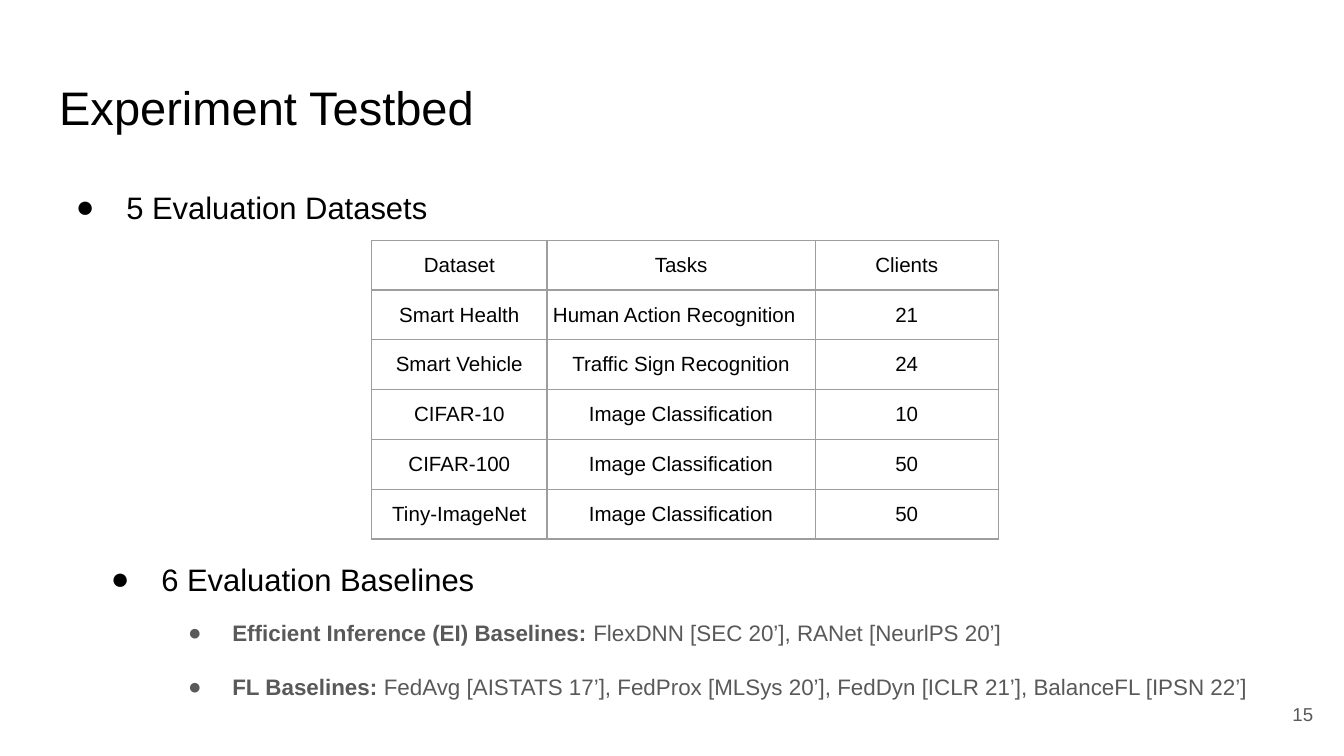
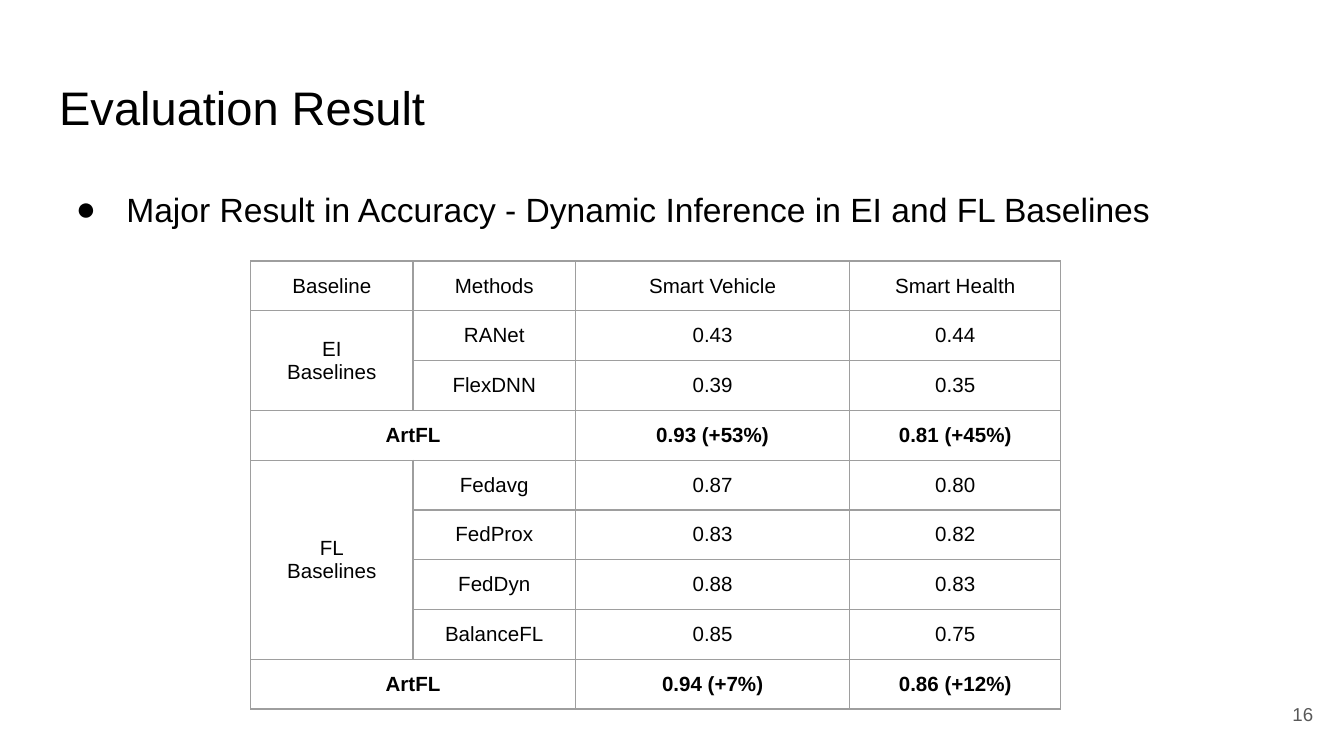
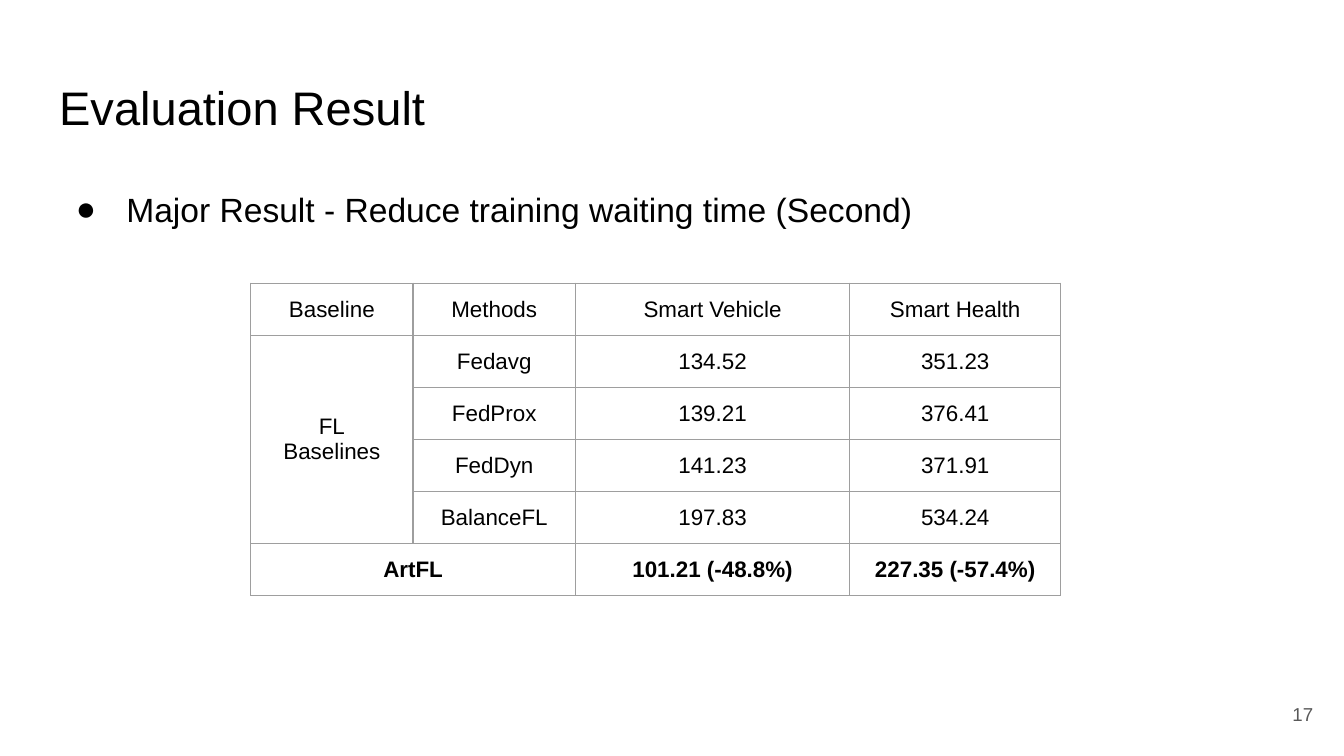
from copy import deepcopy

from lxml.etree import SubElement
from pptx import Presentation
from pptx.dml.color import RGBColor
from pptx.enum.text import MSO_ANCHOR, MSO_AUTO_SIZE, PP_ALIGN
from pptx.oxml import parse_xml
from pptx.oxml.ns import nsdecls, qn
from pptx.util import Pt

FONT, BLACK, GREY, RULE = "Arial", "000000", "595959", "9E9E9E"
INSET = 7.2
TITLE_BOX = (24.5, 35, 671, 45.4)
NUMBER_BOX = (667.4, 367.2, 43.2, 31)
RESULT_COLS = (87, 87, 147, 113)
RESULT_HEAD = ("Baseline", "Methods", "Smart Vehicle", "Smart Health")

SLIDES = [
    {
        "number": 15, "title": "Experiment Testbed", "layout": 3,
        "bullets": [("5 Evaluation Datasets", 16.6, (24.5, 90.7, 245.5, 35.3)),
                    ("6 Evaluation Baselines", 16.6, (43.2, 290.2, 223.2, 35.3))],
        "table": {
            "at": (199.2, 128.7), "size": 11, "row": 26.6, "cols": (93.8, 143.8, 98),
            "rows": [("Dataset", "Tasks", "Clients"),
                     ("Smart Health", "Human Action Recognition", "21"),
                     ("Smart Vehicle", "Traffic Sign Recognition", "24"),
                     ("CIFAR-10", "Image Classification", "10"),
                     ("CIFAR-100", "Image Classification", "50"),
                     ("Tiny-ImageNet", "Image Classification", "50")],
            "merges": [], "flush": (1, 1),
        },
        "details": [
            ("Efficient Inference (EI) Baselines:", " FlexDNN [SEC 20’], RANet [NeurlPS 20’]"),
            ("FL Baselines:", " FedAvg [AISTATS 17’], FedProx [MLSys 20’], "
                              "FedDyn [ICLR 21’], BalanceFL [IPSN 22’]"),
        ],
    },
    {
        "number": 16, "title": "Evaluation Result", "layout": 1,
        "bullets": [("Major Result in Accuracy - Dynamic Inference in EI and FL Baselines",
                     18, (24.5, 90.7, 609, 45.4))],
        "table": {
            "at": (134.3, 139.8), "size": 11, "row": 26.6, "cols": RESULT_COLS,
            "rows": [RESULT_HEAD,
                     ("EI\nBaselines", "RANet", "0.43", "0.44"),
                     ("", "FlexDNN", "0.39", "0.35"),
                     ("ArtFL", "", "0.93 (+53%)", "0.81 (+45%)"),
                     ("FL\nBaselines", "Fedavg", "0.87", "0.80"),
                     ("", "FedProx", "0.83", "0.82"),
                     ("", "FedDyn", "0.88", "0.83"),
                     ("", "BalanceFL", "0.85", "0.75"),
                     ("ArtFL", "", "0.94 (+7%)", "0.86 (+12%)")],
            "merges": [(1, 0, 2, 0), (3, 0, 3, 1), (4, 0, 7, 0), (8, 0, 8, 1)],
        },
    },
    {
        "number": 17, "title": "Evaluation Result", "layout": 1,
        "bullets": [("Major Result - Reduce training waiting time (Second)",
                     18, (24.5, 90.7, 533.5, 45.4))],
        "table": {
            "at": (134.3, 151.7), "size": 12, "row": 27.85, "cols": RESULT_COLS,
            "rows": [RESULT_HEAD,
                     ("FL\nBaselines", "Fedavg", "134.52", "351.23"),
                     ("", "FedProx", "139.21", "376.41"),
                     ("", "FedDyn", "141.23", "371.91"),
                     ("", "BalanceFL", "197.83", "534.24"),
                     ("ArtFL", "", "101.21 (-48.8%)", "227.35 (-57.4%)")],
            "merges": [(1, 0, 4, 0), (5, 0, 5, 1)],
        },
    },
]


def rgb(color):
    """Turn a hex string into a colour."""
    return RGBColor.from_string(color)


def assign(obj, values):
    """Set attributes from a dict."""
    for name, value in values.items():
        setattr(obj, name, value)


def style(r, size, color=BLACK, bold=False):
    """Format one run."""
    assign(r.font, {"name": FONT, "size": Pt(size), "bold": bold})
    r.font.color.rgb = rgb(color)


def frame(sp, box, anchor=MSO_ANCHOR.TOP):
    """Place a shape and prepare its text frame."""
    assign(sp, dict(zip(("left", "top", "width", "height"), map(Pt, box))))
    tf = sp.text_frame
    assign(tf, {"word_wrap": True, "auto_size": MSO_AUTO_SIZE.NONE, "vertical_anchor": anchor})
    assign(tf, {f"margin_{side}": Pt(INSET) for side in ("left", "right", "top", "bottom")})
    return tf


def write(p, text, size, color=BLACK, bold=False, align=PP_ALIGN.LEFT):
    """Fill a paragraph, with line breaks in the same format."""
    p.text = text
    p.alignment = align
    for r in p.runs:
        style(r, size, color, bold)
    for br in p._p.findall(qn("a:br")):
        br.append(deepcopy(p.runs[0]._r.rPr))


def bullet(p, hang, color):
    """Give a paragraph a hanging round bullet."""
    pPr = p._p.get_or_add_pPr()
    pPr.set("marL", str(Pt(36)))
    pPr.set("indent", str(-Pt(hang)))
    clr = SubElement(pPr, qn("a:buClr"))
    SubElement(clr, qn("a:srgbClr"), val=color)
    SubElement(pPr, qn("a:buFont"), typeface=FONT)
    SubElement(pPr, qn("a:buChar"), char="●")


def add_bullet_line(sp, text, size, box):
    """Write a one-line list in a body placeholder."""
    p = frame(sp, box).paragraphs[0]
    bullet(p, 27, BLACK)
    write(p, text, size)
    assign(p, {"line_spacing": 1.15, "space_before": Pt(0)})


def add_details(s, items):
    """Add the list of baselines with bold lead-ins."""
    tf = frame(s.shapes.add_textbox(0, 0, 0, 0), (81.4, 324.7, 614.2, 56.2))
    for i, parts in enumerate(items):
        p = tf.add_paragraph() if i else tf.paragraphs[0]
        bullet(p, 23.75, GREY)
        if i:
            p.space_before = Pt(14.5)
        for text, bold in zip(parts, (True, False)):
            r = p.add_run()
            r.text = text
            style(r, 12, GREY, bold)


def outline(cell):
    """Draw the four borders of a cell."""
    tcPr = cell._tc.get_or_add_tcPr()
    for i, side in enumerate("LRTB"):
        tcPr.insert(i, parse_xml(
            f'<a:ln{side} {nsdecls("a")} w="{Pt(0.75)}"><a:solidFill>'
            f'<a:srgbClr val="{RULE}"/></a:solidFill></a:ln{side}>'))


def add_grid(s, at, size, row, cols, rows, merges, flush=None):
    """Add a bordered table; rows for ArtFL are bold."""
    shape = s.shapes.add_table(len(rows), len(cols), Pt(at[0]), Pt(at[1]),
                               Pt(sum(cols)), Pt(row * len(rows)))
    table = shape.table
    assign(table, {"first_row": False, "horz_banding": False})
    for col, width in zip(table.columns, cols):
        col.width = Pt(width)
    for i, texts in enumerate(rows):
        table.rows[i].height = Pt(row)
        for j, text in enumerate(texts):
            cell = table.cell(i, j)
            assign(cell, {"vertical_anchor": MSO_ANCHOR.MIDDLE,
                          "margin_left": Pt(0 if (i, j) == flush else INSET),
                          "margin_right": Pt(INSET),
                          "margin_top": Pt(INSET), "margin_bottom": Pt(INSET)})
            cell.fill.background()
            outline(cell)
            write(cell.text_frame.paragraphs[0], text, size,
                  bold=texts[0] == "ArtFL", align=PP_ALIGN.CENTER)
    for top, left, bottom, right in merges:
        table.cell(top, left).merge(table.cell(bottom, right))


def add_slide(prs, data):
    """Build one slide from its content."""
    s = prs.slides.add_slide(prs.slide_layouts[data["layout"]])
    title, *bodies = s.placeholders
    write(frame(title, TITLE_BOX).paragraphs[0], data["title"], 25.2)
    for sp, line in zip(bodies, data["bullets"]):
        add_bullet_line(sp, *line)
    add_grid(s, **data["table"])
    if "details" in data:
        add_details(s, data["details"])
    tf = frame(s.shapes.add_textbox(0, 0, 0, 0), NUMBER_BOX, MSO_ANCHOR.MIDDLE)
    write(tf.paragraphs[0], str(data["number"]), 10, GREY, align=PP_ALIGN.RIGHT)


def main():
    """Build and save the deck."""
    prs = Presentation()
    assign(prs, {"slide_width": Pt(720), "slide_height": Pt(405)})
    for data in SLIDES:
        add_slide(prs, data)
    prs.save("out.pptx")


if __name__ == "__main__":
    main()
